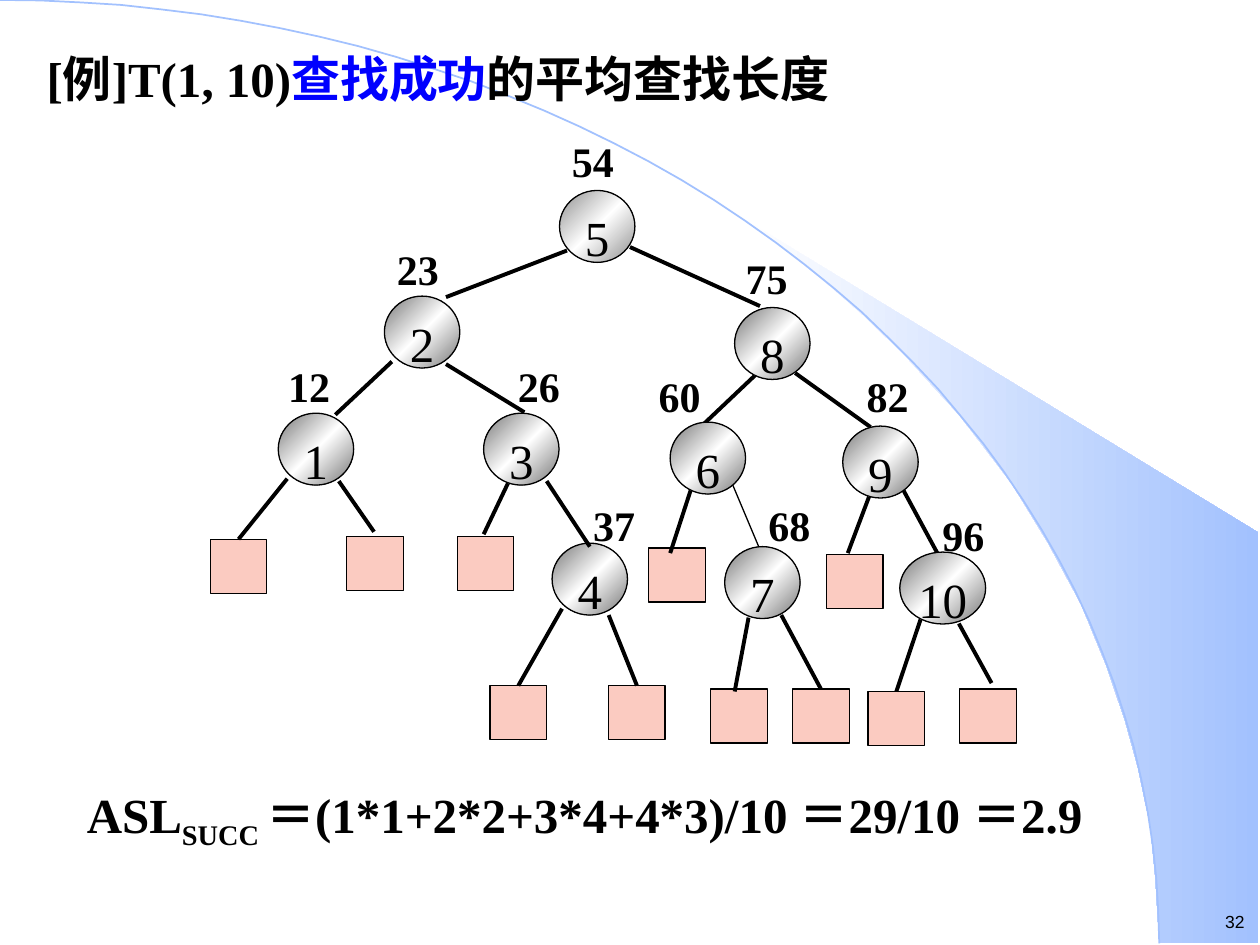
import copy
import math

import pptx
import pptx.util
from pptx.dml.color import RGBColor
from pptx.enum.dml import MSO_FILL
from pptx.enum.shapes import MSO_CONNECTOR, MSO_SHAPE
from pptx.enum.text import MSO_ANCHOR, MSO_AUTO_SIZE, PP_ALIGN
from pptx.oxml.ns import qn
from lxml import etree

COLORS = {
    "black": "000000",
    "blue": "0000FF",
    "white": "FFFFFF",
    "sky": "A2C1FE",
    "pink": "FBCBC1",
    "gray": "767676",
    "root_gray": "909090",
}
SERIF = "Times New Roman"
GRID = 2.54

WEDGE = [
    (9.2, 7.48), (9.99, 7.49), (9.99, 4.23), (5.89, 1.73), (6.24, 1.99),
    (6.53, 2.22), (6.85, 2.5), (7.16, 2.8), (7.62, 3.3), (8.03, 3.84),
    (8.32, 4.31), (8.58, 4.79), (8.78, 5.28), (8.93, 5.72), (9.03, 6.09),
    (9.13, 6.56), (9.17, 6.96),
]
NODES = [
    ("5", 4.44, 1.51), ("2", 3.05, 2.35), ("8", 5.83, 2.44),
    ("1", 2.21, 3.28), ("3", 3.84, 3.28), ("6", 5.32, 3.35),
    ("9", 6.69, 3.38), ("7", 5.75, 4.34), ("10", 7.14, 4.38),
]
KEYS = [
    ("54", 4.44, 1), ("23", 3.05, 1.85), ("75", 5.82, 1.93),
    ("12", 2.19, 2.78), ("26", 4.01, 2.78), ("60", 5.13, 2.86),
    ("82", 6.78, 2.86), ("37", 4.61, 3.88), ("68", 6, 3.88),
    ("96", 7.38, 3.97),
]
BRANCHES = [
    (5, 1.96, 6.03, 2.43), (4.5, 1.99, 3.54, 2.36),
    (3.11, 2.87, 2.66, 3.29), (3.54, 2.89, 4.16, 3.27),
    (6.01, 2.96, 5.56, 3.39), (6.31, 2.96, 6.91, 3.39),
    (4.34, 3.82, 4.68, 4.34), (7.17, 3.89, 7.46, 4.43),
]
THIN_BRANCH = (5.81, 3.84, 6.05, 4.41)
JOINED_LEAVES = [
    ((1.67, 4.28), (2.28, 3.8)), ((3.89, 5.44), (4.46, 4.83)),
    ((4.83, 5.44), (4.83, 4.88)), ((6.29, 5.47), (6.2, 4.88)),
    ((6.89, 5.49), (7.31, 4.9)),
]
LOOSE_LEAVES = [
    ((2.75, 4.26), (2.69, 3.82, 2.97, 4.22)),
    ((3.63, 4.26), (4.04, 3.82, 3.84, 4.24)),
    ((5.15, 4.35), (5.49, 3.87, 5.32, 4.39)),
    ((6.56, 4.4), (6.91, 3.91, 6.73, 4.39)),
    ((5.64, 5.47), (5.94, 4.9, 5.83, 5.49)),
    ((7.62, 5.47), (7.61, 4.95, 7.87, 5.42)),
]


def color(name):
    return RGBColor.from_string(COLORS[name])


def lengths(*values):
    return [pptx.util.Cm(round(v * GRID, 2)) for v in values]


def set_line(shape, name, width):
    shape.line.color.rgb = color(name)
    shape.line.width = pptx.util.Pt(width)


def set_gradient(shape, names, angle):
    shape.fill.gradient()
    shape.fill.gradient_angle = angle
    stops = shape.element.find(".//" + qn("a:gsLst"))
    while len(stops) < len(names):
        stops.append(copy.deepcopy(stops[0]))
    for i, (stop, name) in enumerate(zip(shape.fill.gradient_stops, names)):
        stop.position = i / (len(names) - 1)
        stop.color.rgb = color(name)


def set_margins(tf, left, top, right, bottom):
    (tf.margin_left, tf.margin_top,
     tf.margin_right, tf.margin_bottom) = lengths(left, top, right, bottom)


def set_font(p, size, bold=False, name=SERIF):
    p.font.size = pptx.util.Pt(size)
    p.font.bold = bold
    p.font.name = name
    p.font.color.rgb = color("black")


def add_outline(s, points, close):
    fb = s.shapes.build_freeform(*lengths(*points[0]), scale=1.0)
    fb.add_line_segments([lengths(*pt) for pt in points[1:]], close=close)
    sp = fb.convert_to_shape()
    sp.shadow.inherit = False
    return sp


def add_background(s):
    wedge = add_outline(s, WEDGE, True)
    set_gradient(wedge, ["white", "sky"], 0)
    wedge.line.fill.background()
    angles = [math.radians(a) for a in range(0, 91, 2)]
    arc = add_outline(
        s, [(9.2 * math.sin(a), 7.49 * (1 - math.cos(a))) for a in angles], False)
    arc.fill.background()
    set_line(arc, "sky", 1)


def add_text(s, box, text, size, bold=True, name=SERIF, top=0.08, wrap=True):
    tf = s.shapes.add_textbox(*lengths(*box)).text_frame
    tf.word_wrap = wrap
    set_margins(tf, 0.1, top, 0.1, 0.05)
    p = tf.paragraphs[0]
    p.text = text
    set_font(p, size, bold, name)
    return tf


def add_title(s):
    title = s.shapes.title
    title.element.getparent().append(title.element)
    title.left, title.top, title.width, title.height = lengths(0.27, 0.33, 7.25, 0.62)
    tf = title.text_frame
    tf.word_wrap = True
    tf.auto_size = MSO_AUTO_SIZE.NONE
    tf.vertical_anchor = MSO_ANCHOR.TOP
    set_margins(tf, 0.1, 0.05, 0.1, 0.05)
    p = tf.paragraphs[0]
    p.alignment = PP_ALIGN.LEFT
    set_font(p, 28, True)
    for text, name in [("[例]T(1, 10)", "black"), ("查找成功", "blue"),
                       ("的平均查找长度", "black")]:
        r = p.add_run()
        r.text = text
        r.font.color.rgb = color(name)


def add_node(s, number, left, top):
    width = 0.6 if len(number) == 1 else 0.68
    sp = s.shapes.add_shape(MSO_SHAPE.OVAL, *lengths(left, top, width, 0.57))
    sp.shadow.inherit = False
    edge = "root_gray" if number == "5" else "gray"
    set_gradient(sp, [edge, "white", edge], 315)
    set_line(sp, "black", 0.75)
    tf = sp.text_frame
    tf.word_wrap = False
    tf.vertical_anchor = MSO_ANCHOR.TOP
    set_margins(tf, 0.02, 0.05, 0.02, 0.01)
    p = tf.paragraphs[0]
    p.text = number
    p.alignment = PP_ALIGN.CENTER
    set_font(p, 28)


def add_leaf(s, left, top):
    sp = s.shapes.add_shape(MSO_SHAPE.RECTANGLE, *lengths(left, top, 0.45, 0.43))
    sp.shadow.inherit = False
    sp.fill.solid()
    sp.fill.fore_color.rgb = color("pink")
    set_line(sp, "black", 0.75)
    return sp


def add_branch(s, ends, width=2.25):
    c = s.shapes.add_connector(MSO_CONNECTOR.STRAIGHT, *lengths(*ends))
    set_line(c, "black", width)
    etree.SubElement(c.element.spPr, qn("a:effectLst"))
    return c


def add_tree(s):
    add_node(s, "4", 4.38, 4.31)
    for corner, start in JOINED_LEAVES:
        leaf = add_leaf(s, *corner)
        add_branch(s, start + corner).end_connect(leaf, 0)
    for corner, ends in LOOSE_LEAVES:
        add_leaf(s, *corner)
        add_branch(s, ends)
    for ends in BRANCHES:
        add_branch(s, ends)
    add_branch(s, THIN_BRANCH, 0.75)
    for node in NODES:
        add_node(s, *node)
    for key, left, top in KEYS:
        add_text(s, (left, top, 0.61, 0.5), key, 24, wrap=False)


def add_formula(s):
    tf = add_text(s, (0.59, 6.15, 8.33, 1.1), "ASL", 28)
    p = tf.paragraphs[0]
    r = p.add_run()
    r.text = "SUCC "
    r.font._element.set("baseline", "-25000")
    p.add_run().text = "＝(1*1+2*2+3*4+4*3)/10 ＝29/10 ＝2.9"


def main():
    prs = pptx.Presentation()
    prs.slide_width, prs.slide_height = lengths(10, 7.5)
    s = prs.slides.add_slide(prs.slide_layouts[5])
    add_background(s)
    tf = add_text(s, (9.41, 7.18, 0.49, 0.27), "32", 10, False, "Arial", 0.05)
    set_margins(tf, 0.02, 0.05, 0.02, 0.05)
    tf.paragraphs[0].alignment = PP_ALIGN.RIGHT
    add_title(s)
    add_tree(s)
    add_formula(s)
    prs.save("out.pptx")


if __name__ == "__main__":
    main()
